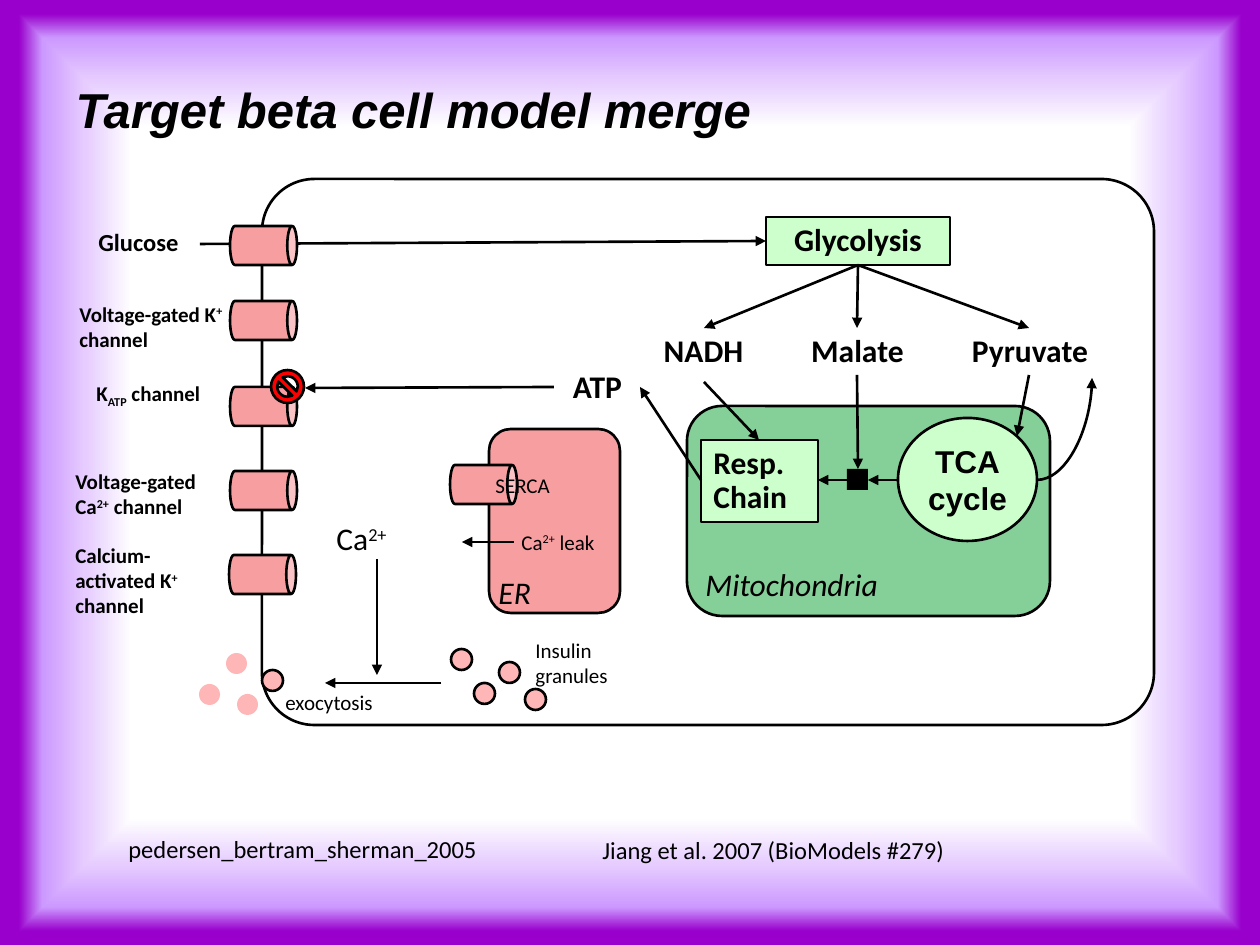
"""Build the slide showing the target beta cell model merge."""
from dataclasses import dataclass

import pptx
import pptx.dml.color
import pptx.enum.shapes
import pptx.enum.text
import pptx.oxml
import pptx.oxml.ns
import pptx.util

EMU_PER_PX = 914400 / 126
COLORS = {
    "ink": "000000", "white": "FFFFFF", "mint": "CCFFCC", "green": "85CF99",
    "salmon": "F79EA1", "pink": "FFB6B7", "red": "FF0000",
    "lavender": "E6CCFF", "lilac": "CC99FF", "purple": "9900CC",
}
BACKGROUND_STOPS = {73: "white", 83: "lavender", 92: "lilac", 97: "purple"}
BASELINES = {"^": "30000", "_": "-25000"}
KINDS = pptx.enum.shapes.MSO_SHAPE
DOT = 21


@dataclass
class Figure:
    kind: KINDS
    frame: tuple[int, int, int, int]
    fill: str
    outlined: bool = True
    rotation: int = 0
    corner: float | None = None


@dataclass
class Arrow:
    start: tuple[int, int]
    end: tuple[int, int]
    curved: bool = False


@dataclass
class Label:
    frame: tuple[int, int, int, int]
    text: str
    size: int = 12
    bold: bool = False
    italic: bool = False
    centered: bool = False


def can(left: int, top: int) -> Figure:
    return Figure(KINDS.CAN, (left, top, 39, 67), "salmon", rotation=90)


def granule(left: int, top: int, outlined: bool = True) -> Figure:
    return Figure(KINDS.OVAL, (left, top, DOT, DOT), "pink", outlined)


CELL = Figure(KINDS.ROUNDED_RECTANGLE, (262, 179, 892, 546), "white", corner=0.096)
MITOCHONDRIA = Figure(KINDS.ROUNDED_RECTANGLE, (687, 406, 363, 210), "green")
RETICULUM = Figure(KINDS.ROUNDED_RECTANGLE, (489, 429, 131, 184), "salmon")
GLYCOLYSIS = Figure(KINDS.RECTANGLE, (766, 217, 184, 48), "mint")
TCA_CYCLE = Figure(KINDS.OVAL, (898, 418, 139, 123), "mint")
RESP_CHAIN = Figure(KINDS.RECTANGLE, (701, 440, 117, 82), "mint")
JUNCTION = Figure(KINDS.RECTANGLE, (847, 469, DOT, DOT), "ink", outlined=False)

ARROWS = [
    *(Arrow((858, 265), (x, 328)) for x in (704, 857, 1029)),
    Arrow((704, 382), (759, 440)),
    Arrow((857, 375), (858, 469)),
    Arrow((898, 480), (868, 480)),
    Arrow((1029, 375), (1017, 436)),
    Arrow((1037, 480), (1092, 378), curved=True),
    Arrow((847, 480), (818, 480)),
    Arrow((701, 480), (640, 387)),
    Arrow((200, 244), (766, 241)),
    Arrow((554, 387), (305, 388)),
    Arrow((514, 542), (462, 542)),
    Arrow((441, 683), (325, 683)),
    Arrow((377, 559), (377, 675)),
]
CANS = [can(244, top) for top in (212, 287, 373, 457)] + [can(243, 541), can(464, 451)]
INNER_GRANULES = [(262, 670), (474, 683), (499, 662), (525, 689), (451, 649)]
OUTER_GRANULES = [(237, 694), (226, 653), (199, 684)]
FORBIDDEN = Figure(KINDS.NO_SYMBOL, (271, 370, 33, 33), "red")

LABELS = [
    Label((590, 829, 571, 40), "Jiang et al. 2007 (BioModels #279)", 14),
    Label((116, 828, 609, 40), "pedersen_bertram_sherman_2005", 14),
    Label((693, 559, 231, 48), "Mitochondria", 18, italic=True),
    Label((645, 328, 117, 48), "NADH", 18, bold=True, centered=True),
    Label((795, 328, 125, 48), "Malate", 18, bold=True, centered=True),
    Label((950, 328, 160, 48), "Pyruvate", 18, bold=True, centered=True),
    Label((554, 364, 87, 48), "ATP", 18, bold=True, centered=True),
    Label((77, 224, 123, 40), "Glucose", 14, bold=True, centered=True),
    Label((486, 567, 105, 48), "ER", 18, italic=True),
    Label((523, 631, 147, 59), "Insulin granules"),
    Label((84, 374, 140, 59), "K|_ATP| channel", bold=True),
    Label((63, 462, 179, 59), "Voltage-gated Ca|^2+| channel", bold=True),
    Label((63, 536, 179, 82), "Calcium-activated K|^+| channel", bold=True),
    Label((67, 295, 179, 59), "Voltage-gated K|^+| channel", bold=True),
    Label((509, 523, 121, 37), "Ca|^2+| leak"),
    Label((483, 466, 158, 37), "SERCA"),
    Label((273, 683, 221, 37), "exocytosis"),
    Label((324, 513, 105, 48), "Ca|^2+", 18),
]


def emu(*lengths: int) -> list[pptx.util.Emu]:
    return [pptx.util.Emu(round(length * EMU_PER_PX)) for length in lengths]


def rgb(name: str) -> pptx.dml.color.RGBColor:
    return pptx.dml.color.RGBColor.from_string(COLORS[name])


def write(shape, text: str, *, size: int, font: str = "Calibri", bold: bool = False,
          italic: bool = False, centered: bool = False, middle: bool = False,
          wrap: bool = True, grow: bool = True, spacing: float = 1.0) -> None:
    align, anchor, fit = (pptx.enum.text.PP_ALIGN, pptx.enum.text.MSO_ANCHOR,
                          pptx.enum.text.MSO_AUTO_SIZE)
    frame = shape.text_frame
    frame.word_wrap = wrap
    frame.auto_size = fit.SHAPE_TO_FIT_TEXT if grow else fit.NONE
    frame.vertical_anchor = anchor.MIDDLE if middle else anchor.TOP
    for index, line in enumerate(text.split("\n")):
        para = frame.add_paragraph() if index else frame.paragraphs[0]
        para.alignment = align.CENTER if centered else align.LEFT
        para.line_spacing = spacing
        for piece in line.split("|"):
            span = para.add_run()
            baseline = BASELINES.get(piece[0])
            span.text = piece[1:] if baseline else piece
            span.font.size = pptx.util.Pt(size)
            span.font.name = font
            span.font.bold = bold
            span.font.italic = italic
            span.font.color.rgb = rgb("ink")
            if baseline:
                span.font._element.set("baseline", baseline)


def draw_figure(page, figure: Figure):
    shape = page.shapes.add_shape(figure.kind, *emu(*figure.frame))
    shape.shadow.inherit = False
    shape.rotation = figure.rotation
    shape.fill.solid()
    shape.fill.fore_color.rgb = rgb(figure.fill)
    if figure.corner is not None:
        shape.adjustments[0] = figure.corner
    if figure.outlined:
        shape.line.color.rgb = rgb("ink")
        shape.line.width = pptx.util.Pt(1.5)
    else:
        shape.line.fill.background()
    return shape


def draw_arrow(page, arrow: Arrow) -> None:
    kinds = pptx.enum.shapes.MSO_CONNECTOR
    kind = kinds.CURVE if arrow.curved else kinds.STRAIGHT
    line = page.shapes.add_connector(kind, *emu(*arrow.start, *arrow.end))
    line.line.color.rgb = rgb("ink")
    line.line.width = pptx.util.Pt(1.5)
    properties = line._element.spPr
    if arrow.curved:
        properties.find(pptx.oxml.ns.qn("a:prstGeom")).set("prst", "curvedConnector2")
    head = pptx.oxml.parse_xml(f'<a:tailEnd {pptx.oxml.ns.nsdecls("a")} type="triangle"/>')
    properties.find(pptx.oxml.ns.qn("a:ln")).append(head)
    properties.append(pptx.oxml.parse_xml(f'<a:effectLst {pptx.oxml.ns.nsdecls("a")}/>'))


def draw_label(page, label: Label) -> None:
    box = page.shapes.add_textbox(*emu(*label.frame))
    write(box, label.text, size=label.size, bold=label.bold, italic=label.italic,
          centered=label.centered, middle=label.centered, wrap=not label.centered,
          spacing=0.9 if label.centered else 1.0)


def paint_background(page) -> None:
    page.background.fill.solid()
    solid = page._element.find(".//" + pptx.oxml.ns.qn("p:bgPr"))[0]
    stops = "".join(f'<a:gs pos="{pos * 1000}"><a:srgbClr val="{COLORS[name]}"/></a:gs>'
                    for pos, name in BACKGROUND_STOPS.items())
    gradient = pptx.oxml.parse_xml(
        f'<a:gradFill {pptx.oxml.ns.nsdecls("a")}><a:gsLst>{stops}</a:gsLst>'
        '<a:path path="rect"><a:fillToRect l="50000" t="50000" r="50000" b="50000"/>'
        '</a:path></a:gradFill>')
    solid.getparent().replace(solid, gradient)


def main() -> None:
    deck = pptx.Presentation()
    deck.slide_width, deck.slide_height = emu(1260, 945)
    page = deck.slides.add_slide(deck.slide_layouts[5])
    paint_background(page)
    title = page.shapes.title
    title.left, title.top, title.width, title.height = emu(63, 73, 756, 72)
    write(title, "Target beta cell model merge", size=28, font="Arial", bold=True,
          italic=True, middle=True, grow=False)
    for figure in (CELL, MITOCHONDRIA, RETICULUM, JUNCTION):
        draw_figure(page, figure)
    write(draw_figure(page, GLYCOLYSIS), "Glycolysis", size=18, bold=True,
          centered=True, middle=True, wrap=False, spacing=0.9)
    write(draw_figure(page, TCA_CYCLE), "TCA\ncycle", size=18, font="Arial", bold=True,
          centered=True, middle=True, wrap=False, grow=False)
    write(draw_figure(page, RESP_CHAIN), "Resp. Chain", size=18, bold=True,
          middle=True, spacing=0.9)
    for arrow in ARROWS:
        draw_arrow(page, arrow)
    granules = [granule(*spot) for spot in INNER_GRANULES]
    granules += [granule(*spot, outlined=False) for spot in OUTER_GRANULES]
    for figure in (*CANS, *granules, FORBIDDEN):
        draw_figure(page, figure)
    for label in LABELS:
        draw_label(page, label)
    deck.save("out.pptx")


if __name__ == "__main__":
    main()
